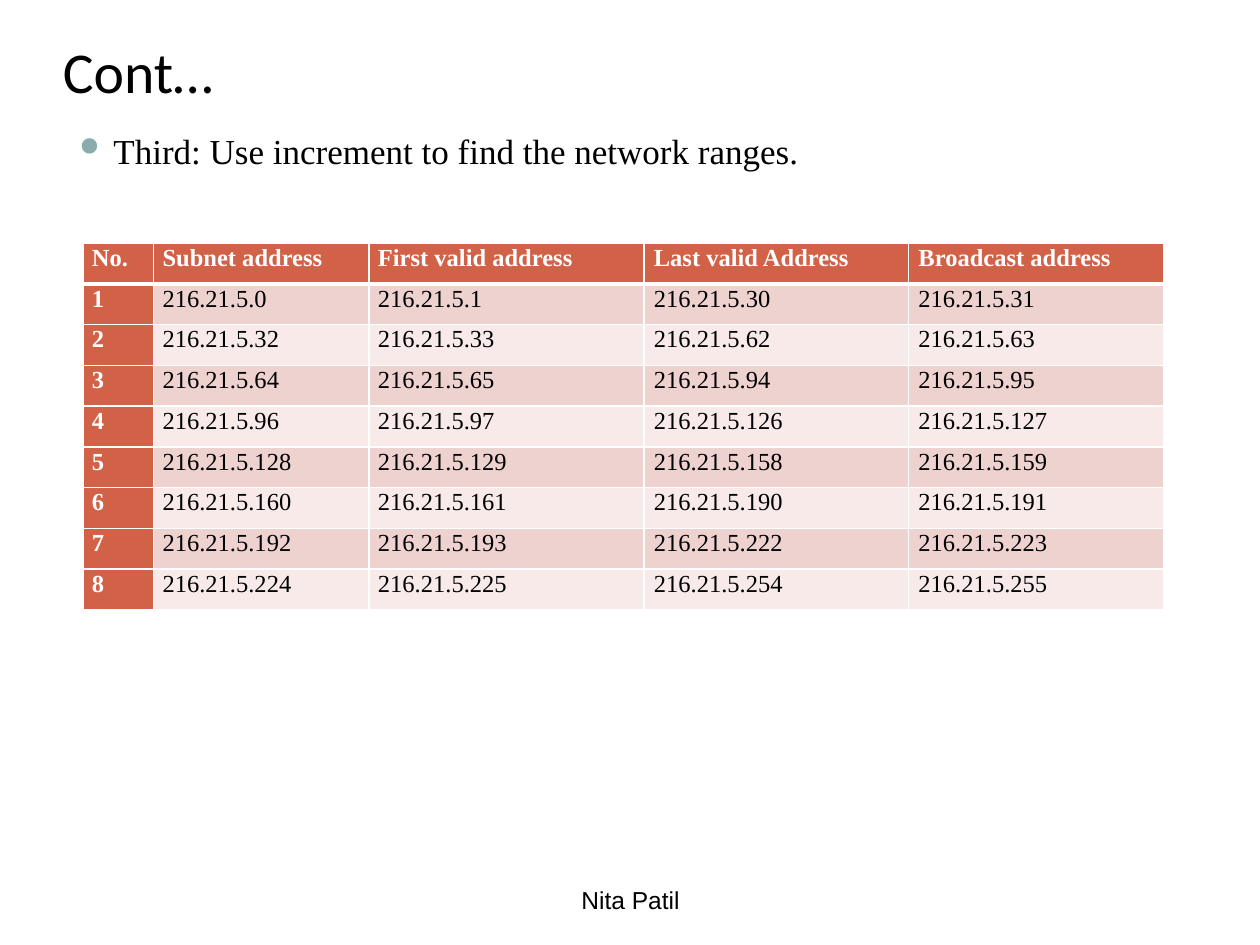
"""Build a slide listing the address ranges of eight subnets."""
from lxml.etree import SubElement
from pptx import Presentation
from pptx.dml.color import RGBColor
from pptx.enum.text import MSO_ANCHOR, PP_ALIGN
from pptx.oxml.ns import qn
from pptx.util import Inches, Pt

BLACK = RGBColor(0x00, 0x00, 0x00)
WHITE = RGBColor(0xFF, 0xFF, 0xFF)
RUST = RGBColor(0xD1, 0x62, 0x48)
ROSE = RGBColor(0xED, 0xD2, 0xCF)
PALE_ROSE = RGBColor(0xF7, 0xEA, 0xE9)
TEAL = RGBColor(0x8B, 0xAC, 0xAD)
SERIF = "Times New Roman"


def add_text(paragraph, text, font_name, size, color=BLACK, bold=False):
    run = paragraph.add_run()
    run.text = text
    run.font.name = font_name
    run.font.size = Pt(size)
    run.font.color.rgb = color
    run.font.bold = bold


def add_box(left, top, width, height, inset_x, inset_top, inset_bottom, anchor):
    frame = slide.shapes.add_textbox(
        Inches(left), Inches(top), Inches(width), Inches(height)).text_frame
    frame.word_wrap = True
    frame.vertical_anchor = anchor
    frame.margin_left = frame.margin_right = Inches(inset_x)
    frame.margin_top = Inches(inset_top)
    frame.margin_bottom = Inches(inset_bottom)
    return frame.paragraphs[0]


prs = Presentation()
prs.slide_width = Inches(10)
prs.slide_height = Inches(7.5)
slide = prs.slides.add_slide(prs.slide_layouts[6])

title = add_box(0.49, 0.27, 1.34, 0.56, 0, 0.01, 0, MSO_ANCHOR.MIDDLE)
title.space_before = Pt(1.1)
title._p.get_or_add_pPr().set("marL", str(Inches(0.01)))
add_text(title, "Cont…", "Calibri", 33)

step = add_box(0.59, 1.02, 5.85, 0.36, 0, 0.01, 0, MSO_ANCHOR.TOP)
step.space_before = Pt(1.1)
step_props = step._p.get_or_add_pPr()
step_props.set("marL", str(Inches(0.31)))
step_props.set("indent", str(Inches(-0.3)))
bullet_color = SubElement(step_props, qn("a:buClr"))
SubElement(bullet_color, qn("a:srgbClr"), val=str(TEAL))
SubElement(step_props, qn("a:buSzPct"), val="95000")
SubElement(step_props, qn("a:buChar"), char="⚫")
for part in ("Third: Use ", "increment ", "to find the network ranges."):
    add_text(step, part, SERIF, 20)

rows = [("No.", "Subnet address", "First valid address",
         "Last valid Address", "Broadcast address")]
for number in range(1, 9):
    start = 32 * (number - 1)
    hosts = (start, start + 1, start + 30, start + 31)
    rows.append((str(number), *(f"216.21.5.{host}" for host in hosts)))

column_widths = (0.56, 1.71, 2.18, 2.1, 2.03)
subnets = slide.shapes.add_table(
    len(rows), len(column_widths),
    Inches(0.66), Inches(1.93), Inches(8.58), Inches(2.91)).table
for column, width in zip(subnets.columns, column_widths):
    column.width = Inches(width)

for r, row in enumerate(rows):
    for c, text in enumerate(row):
        cell = subnets.cell(r, c)
        heading = r == 0 or c == 0
        cell.margin_left = cell.margin_right = 0
        cell.margin_top = cell.margin_bottom = 0
        for side in ("L", "R", "T", "B"):
            thick = (r, side) in ((0, "B"), (1, "T"))
            border = SubElement(cell._tc.get_or_add_tcPr(), qn(f"a:ln{side}"),
                                w=str(Pt(3 if thick else 1)))
            border_fill = SubElement(border, qn("a:solidFill"))
            SubElement(border_fill, qn("a:srgbClr"), val=str(WHITE))
        cell.fill.solid()
        cell.fill.fore_color.rgb = RUST if heading else ROSE if r % 2 else PALE_ROSE
        entry = cell.text_frame.paragraphs[0]
        entry.line_spacing = Pt(16.3)
        entry._p.get_or_add_pPr().set("marL", str(Inches(0.07 if c < 3 else 0.08)))
        add_text(entry, text, SERIF, 14, WHITE if heading else BLACK, heading)

footer = add_box(3.42, 6.94, 3.17, 0.4, 0.1, 0.05, 0.05, MSO_ANCHOR.MIDDLE)
footer.alignment = PP_ALIGN.CENTER
add_text(footer, "Nita Patil", "Arial", 14)

prs.save("out.pptx")
